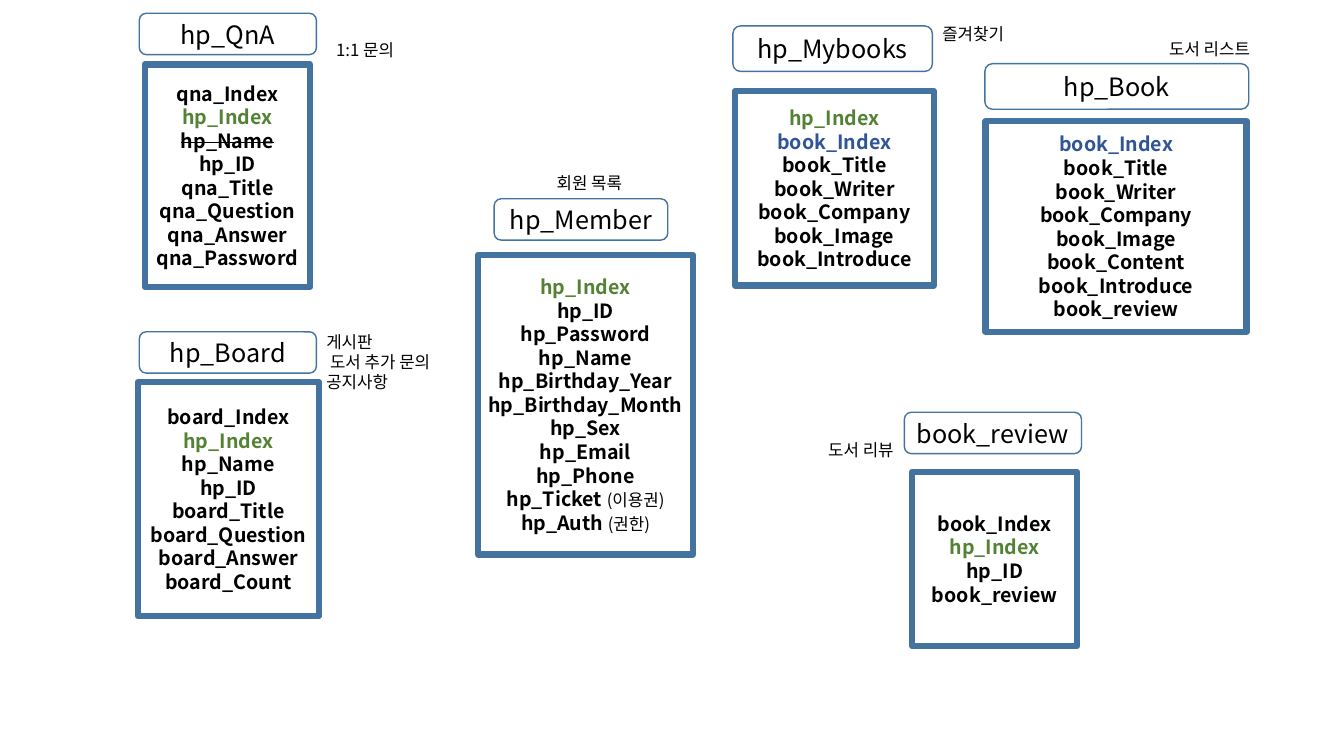
from pptx import Presentation
from pptx.dml.color import RGBColor
from pptx.enum import shapes, text
from pptx.oxml.ns import qn
from pptx.util import Pt

FONT = "Noto Sans CJK KR"
BLACK, WHITE, STEEL = "000000", "FFFFFF", "43739E"
KEY_COLOURS = {"hp_Index": "548235", "book_Index": "2F5597"}


def colour(value):
    return RGBColor.from_string(value)


def add_span(para, words, size=12, bold=False, shade=BLACK, struck=False):
    span = para.add_run()
    span.text = words
    font = span.font
    font.name, font.size, font.bold = FONT, Pt(size), bold
    font.color.rgb = colour(shade)
    properties = font._element
    if struck:
        properties.set("strike", "sngStrike")
    east_asian = properties.makeelement(qn("a:ea"), {"typeface": FONT})
    properties.find(qn("a:latin")).addnext(east_asian)


def add_para(frame, index, size, align):
    para = frame.paragraphs[0] if index == 0 else frame.add_paragraph()
    para.alignment = align
    para.line_spacing = Pt(1.2 * size)
    return para


def add_panel(page, kind, box, line_width):
    panel = page.shapes.add_shape(kind, *map(Pt, box))
    panel.shadow.inherit = False
    panel.line.color.rgb = colour(STEEL)
    panel.line.width = Pt(line_width)
    panel.fill.background()
    frame = panel.text_frame
    frame.word_wrap = True
    frame.vertical_anchor = text.MSO_ANCHOR.MIDDLE
    frame.margin_left = frame.margin_right = 0
    return panel


def add_fields(page, box, fields, plain, struck):
    panel = add_panel(page, shapes.MSO_SHAPE.RECTANGLE, box, 4.5)
    panel.fill.solid()
    panel.fill.fore_color.rgb = colour(WHITE)
    for index, field in enumerate(fields):
        para = add_para(panel.text_frame, index, 14, text.PP_ALIGN.CENTER)
        name, bracket, remark = field.partition("(")
        shade = BLACK if name in plain else KEY_COLOURS.get(name, BLACK)
        add_span(para, name, size=14, bold=True, shade=shade, struck=name in struck)
        if bracket:
            add_span(para, bracket + remark)


def add_name(page, box, name):
    panel = add_panel(page, shapes.MSO_SHAPE.ROUNDED_RECTANGLE, box, 1)
    para = add_para(panel.text_frame, 0, 18, text.PP_ALIGN.CENTER)
    add_span(para, name, size=18)


def add_note(page, box, lines):
    note = page.shapes.add_textbox(*map(Pt, box))
    frame = note.text_frame
    frame.word_wrap = False
    frame.auto_size = text.MSO_AUTO_SIZE.SHAPE_TO_FIT_TEXT
    for index, line in enumerate(lines):
        add_span(add_para(frame, index, 12, text.PP_ALIGN.LEFT), line)


def add_entity(page, box, name, fields, fields_box, note, note_box, plain=(), struck=()):
    """box holds the name; the other boxes are offset from its corner."""
    left, top = box[:2]

    def shifted(part):
        return left + part[0], top + part[1], part[2], part[3]

    add_fields(page, shifted(fields_box), fields, plain, struck)
    add_name(page, box, name)
    add_note(page, shifted(note_box), note)


deck = Presentation()
deck.slide_width, deck.slide_height = Pt(960), Pt(540)
page = deck.slides.add_slide(deck.slide_layouts[6])

# Members
add_entity(page, (353, 142, 124, 29.5), "hp_Member",
           ["hp_Index", "hp_ID", "hp_Password", "hp_Name", "hp_Birthday_Year",
            "hp_Birthday_Month", "hp_Sex", "hp_Email", "hp_Phone",
            "hp_Ticket (이용권)", "hp_Auth (권한)"],
           (-11.5, 40, 153.5, 214), ["회원 목록"], (37.5, -22, 67, 21.6))

# Questions
add_entity(page, (99.5, 9.5, 126.5, 29.5), "hp_QnA",
           ["qna_Index", "hp_Index", "hp_Name", "hp_ID", "qna_Title",
            "qna_Question", "qna_Answer", "qna_Password"],
           (4, 36.5, 118, 159), ["1:1 문의"], (133.5, 15.5, 59, 21.6),
           struck=("hp_Name",))

# Favourites
add_entity(page, (523.5, 18.5, 142.5, 32.5), "hp_Mybooks",
           ["hp_Index", "book_Index", "book_Title", "book_Writer",
            "book_Company", "book_Image", "book_Introduce"],
           (1.5, 46.5, 142, 139), ["즐겨찾기"], (142.5, -5, 63, 21.6))

# Books
add_entity(page, (703.5, 45.5, 188.5, 32.5), "hp_Book",
           ["book_Index", "book_Title", "book_Writer", "book_Company",
            "book_Image", "book_Content", "book_Introduce", "book_review"],
           (0.5, 41, 186.5, 150.5), ["도서 리스트"], (124.5, -21, 79, 21.6))

# Board
add_entity(page, (99.5, 237, 126.5, 29.5), "hp_Board",
           ["board_Index", "hp_Index", "hp_Name", "hp_ID", "board_Title",
            "board_Question", "board_Answer", "board_Count"],
           (-1, 36, 129.5, 167), ["게시판", " 도서 추가 문의", "공지사항"],
           (126.5, -3.5, 100, 51))

# Reviews
add_entity(page, (646, 294.5, 126.5, 29.5), "book_review",
           ["book_Index", "hp_Index", "hp_ID", "book_review"],
           (5.5, 42.5, 118, 124.5), ["도서 리뷰"], (-61.5, 16, 67, 21.6),
           plain=("book_Index",))

deck.save("out.pptx")
